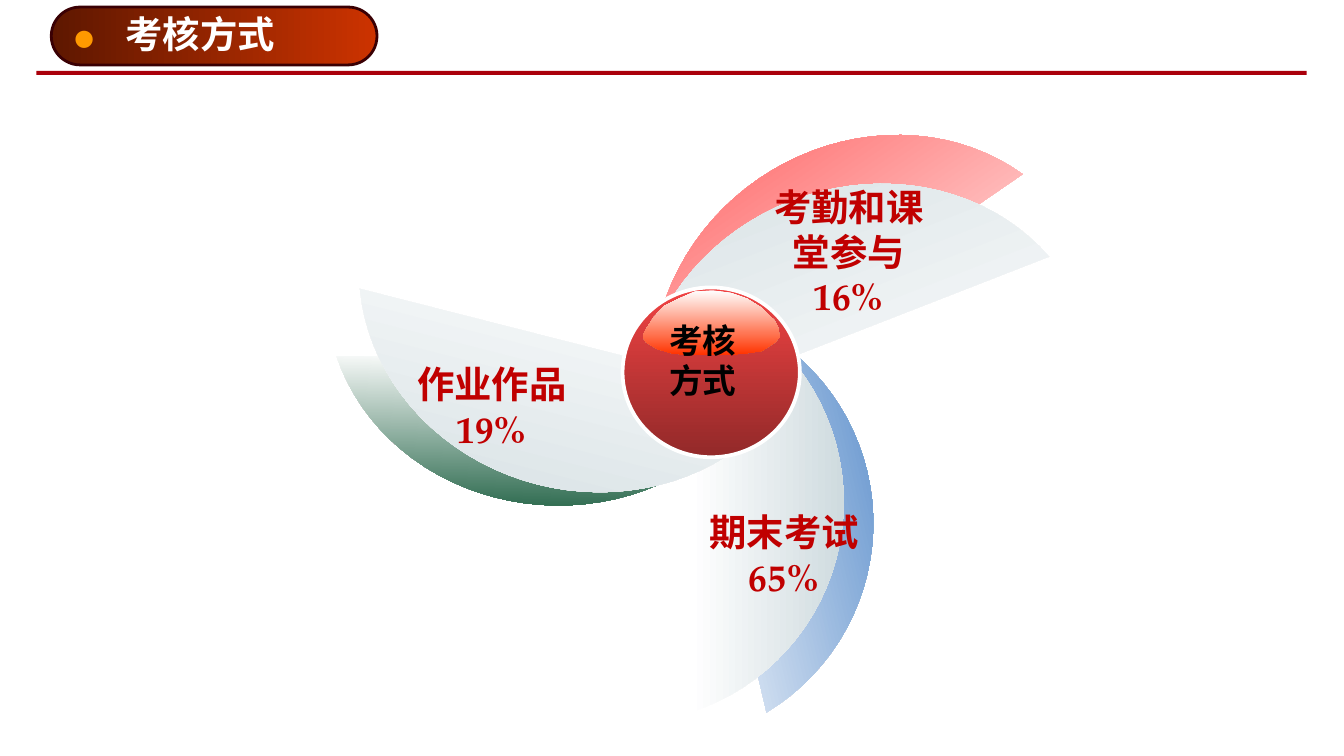
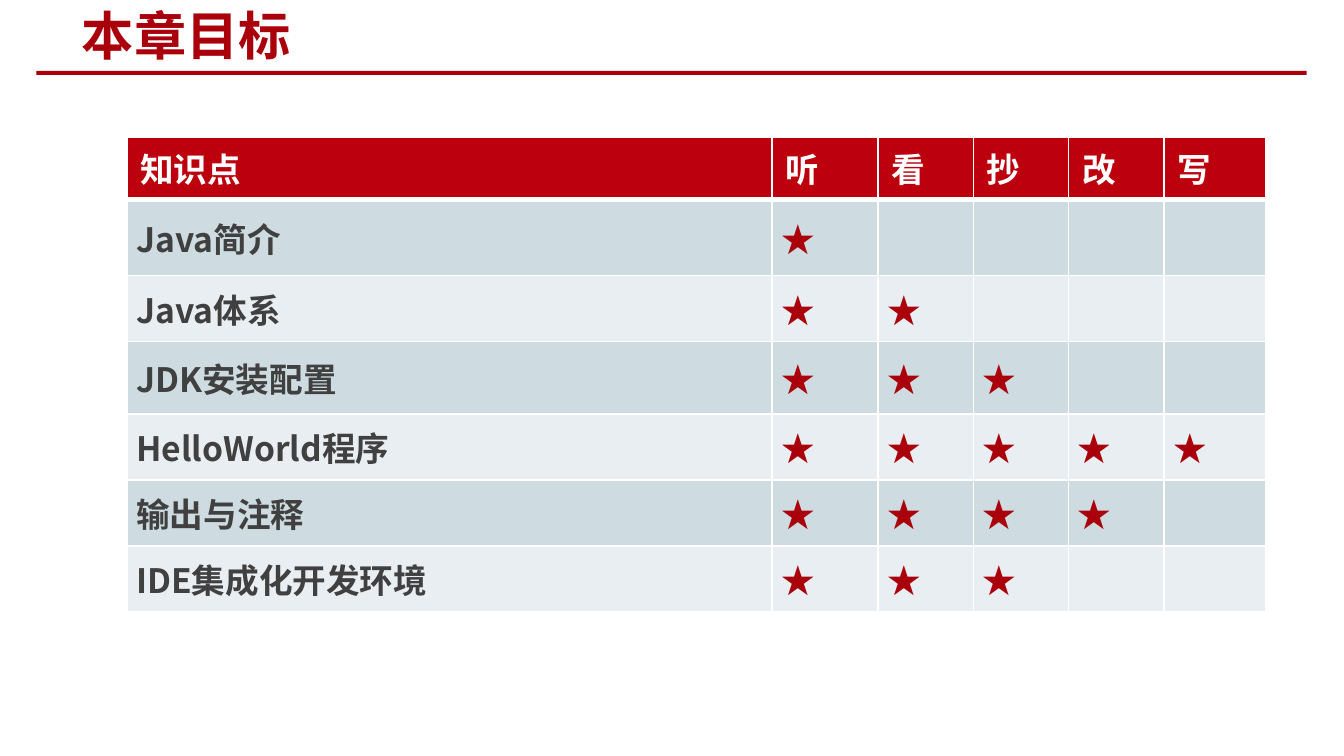
from math import cos, pi, radians, sin

from lxml.etree import SubElement
from pptx import Presentation
from pptx.dml.color import RGBColor
from pptx.enum.shapes import MSO_SHAPE
from pptx.enum.text import MSO_ANCHOR, MSO_AUTO_SIZE, PP_ALIGN
from pptx.oxml import parse_xml
from pptx.oxml.ns import nsdecls, qn
from pptx.util import Pt

RED = "AA000B"
LABEL_RED = "C00000"
HEADER_RED = "BC000D"
WHITE = "FFFFFF"
PALE = "CFDBDF"
DARK = "404040"
ROW_FILLS = ("CEDCE1", "E8EEF1")
SANS = "Noto Sans CJK SC"
SERIF = "TeX Gyre Pagella"


def color(value):
    return RGBColor.from_string(value)


def blade_outline(width, height, steps=38):
    half_angle = radians(72)
    points = []
    for step in range(steps + 1):
        angle = half_angle * (2 * step / steps - 1)
        x = (cos(angle) - cos(half_angle)) / (1 - cos(half_angle))
        y = (1 + sin(angle) / sin(half_angle)) / 2
        points.append((x * width, y * height))
    return points


class Deck:
    def __init__(self):
        self.presentation = Presentation()
        self.presentation.slide_width = Pt(720)
        self.presentation.slide_height = Pt(405)
        self.slide = None

    def add_slide(self):
        layout = self.presentation.slide_layouts[5]
        self.slide = self.presentation.slides.add_slide(layout)
        self.shape(MSO_SHAPE.RECTANGLE, (19.5, 38, 680.5, 2.2), RED)

    def format(self, paragraph, size, font_name, font_color, bold=True, align=PP_ALIGN.LEFT):
        paragraph.alignment = align
        font = paragraph.font
        font.size = Pt(size)
        font.name = font_name
        font.bold = bold
        font.color.rgb = color(font_color)
        latin = font._element.find(qn("a:latin"))
        latin.addnext(latin.makeelement(qn("a:ea"), {"typeface": SANS}))

    def title(self, text, box, size, font_name, font_color, shadow=False):
        title = self.slide.shapes.title
        title.left, title.top, title.width, title.height = map(Pt, box)
        frame = title.text_frame
        frame.text = text
        frame.word_wrap = True
        frame.auto_size = MSO_AUTO_SIZE.NONE
        frame.vertical_anchor = MSO_ANCHOR.MIDDLE
        self.format(frame.paragraphs[0], size, font_name, font_color)
        if shadow:
            properties = frame.paragraphs[0].runs[0].font._element
            properties.append(parse_xml(
                f'<a:effectLst {nsdecls("a")}><a:outerShdw dist="35921" dir="2700000">'
                '<a:srgbClr val="000000"/></a:outerShdw></a:effectLst>'))
        self.slide.shapes._spTree.append(title._element)

    def paint(self, shape, fill, angle=0, line=None):
        shape.shadow.inherit = False
        if isinstance(fill, str):
            shape.fill.solid()
            shape.fill.fore_color.rgb = color(fill)
        else:
            shape.fill.gradient()
            shape.fill.gradient_angle = angle
            for stop, value in zip(shape.fill.gradient_stops, fill):
                stop.color.rgb = color(value)
        if line:
            shape.line.color.rgb = color(line[0])
            shape.line.width = Pt(line[1])
        else:
            shape.line.fill.background()
        return shape

    def shape(self, kind, box, fill, angle=0, line=None):
        shape = self.slide.shapes.add_shape(kind, *map(Pt, box))
        return self.paint(shape, fill, angle, line)

    def outline(self, points, left, top, fill, angle=0, rotation=0):
        corners = [(Pt(left + x), Pt(top + y)) for x, y in points]
        builder = self.slide.shapes.build_freeform(*corners[0])
        builder.add_line_segments(corners[1:], close=True)
        shape = self.paint(builder.convert_to_shape(), fill, angle)
        shape.rotation = rotation

    def text(self, lines, box, size, font_name, font_color, wrap=True):
        frame = self.slide.shapes.add_textbox(*map(Pt, box)).text_frame
        frame.word_wrap = wrap
        frame.text = "\n".join(lines)
        for paragraph in frame.paragraphs:
            self.format(paragraph, size, font_name, font_color, align=PP_ALIGN.CENTER)

    def cell(self, cell, text, fill, font_color, margins, anchor, borders):
        cell.margin_left = cell.margin_right = Pt(margins[0])
        cell.margin_top = cell.margin_bottom = Pt(margins[1])
        cell.vertical_anchor = anchor
        cell.fill.solid()
        cell.fill.fore_color.rgb = color(fill)
        if text:
            cell.text = text
            self.format(cell.text_frame.paragraphs[0], 18, SANS, font_color)
        properties = cell._tc.get_or_add_tcPr()
        for index, (side, width) in enumerate(zip("LRTB", borders)):
            border = SubElement(properties, qn(f"a:ln{side}"), w=str(Pt(width)))
            solid = SubElement(border, qn("a:solidFill"))
            SubElement(solid, qn("a:srgbClr"), val=WHITE)
            properties.insert(index, border)

    def table(self, header, rows, left, top, widths, heights):
        frame = self.slide.shapes.add_table(
            len(rows) + 1, len(header), Pt(left), Pt(top), Pt(sum(widths)), Pt(sum(heights)))
        table = frame.table
        for column, width in zip(table.columns, widths):
            column.width = Pt(width)
        for row, height in zip(table.rows, heights):
            row.height = Pt(height)
        for column, text in enumerate(header):
            self.cell(table.cell(0, column), text, HEADER_RED, WHITE,
                      (7.2, 3.6), MSO_ANCHOR.TOP, (1, 1, 1, 3))
        for row, (topic, stars) in enumerate(rows, 1):
            texts = [topic] + ["★"] * stars + [""] * (len(header) - 1 - stars)
            for column, text in enumerate(texts):
                self.cell(table.cell(row, column), text, ROW_FILLS[(row - 1) % 2],
                          RED if column else DARK, (5, 0), MSO_ANCHOR.MIDDLE,
                          (1, 1, 3 if row == 1 else 1, 1))


def assessment_slide(deck):
    deck.add_slide()
    pill = deck.shape(MSO_SHAPE.ROUNDED_RECTANGLE, (27.5, 3.8, 174.5, 31),
                      ("5E1700", "CC3300"), line=("3A0004", 1.5))
    pill.adjustments[0] = 0.5
    pill.text_frame.word_wrap = False
    pill.text_frame.vertical_anchor = MSO_ANCHOR.MIDDLE
    pill.text_frame.text = "●"
    deck.format(pill.text_frame.paragraphs[0], 20, "Calibri", "FF9900", bold=False)
    deck.title("考核方式", (60, 2.5, 119.5, 31), 20, "Arial", WHITE, shadow=True)

    upright, slanted = (82, 225.5), (78, 236)
    blades = [
        (383.8, 149.8, upright, 346.8, "447EC4"),
        (258.5, 113.8, slanted, 91, "2A684C"),
        (389.5, 10, slanted, 235.5, "FF3B3B"),
        (370, 156.2, upright, 0, PALE),
        (258.5, 103.7, slanted, 104.3, PALE),
        (398.9, 26, slanted, 248.7, PALE),
    ]
    for left, top, size, rotation, shade in blades:
        deck.outline(blade_outline(*size), left, top, (WHITE, shade), rotation=rotation)

    deck.shape(MSO_SHAPE.OVAL, (333.5, 154, 95, 91), ("F14343", "922929"), 270, (WHITE, 2))
    gloss = [
        (72.5, 19.5), (73.5, 25), (71, 28), (64, 32.5), (54, 34), (44.5, 34.5), (26.5, 34.5),
        (16.5, 34), (8, 31.5), (2, 28), (0, 25), (1.5, 21.5), (6, 14.5), (11.5, 8.5),
        (19.5, 4.5), (28, 0.7), (37.5, 0), (47.5, 1.5), (56, 4.5), (64, 9.5), (70.5, 16),
    ]
    deck.outline(gloss, 344.2, 155.5, (WHITE, "FF3300"), 270)

    deck.text(["考核", "方式"], (325.5, 167.8, 102, 65.5), 18, "Calibri", "000000")
    labels = [
        (["考勤和课堂参与", "16%"], (404, 95, 101.5, 80), True),
        (["期末考试", "65%"], (372.2, 269.3, 95.8, 55.5), False),
        (["作业作品19%"], (201.6, 190, 123.8, 55.5), True),
    ]
    for lines, box, wrap in labels:
        deck.text(lines, box, 20, SERIF, LABEL_RED, wrap)


def goals_slide(deck):
    deck.add_slide()
    deck.title("本章目标", (36.7, 1.5, 381.6, 33.8), 28, SANS, RED)
    topics = [
        ("Java简介", 1),
        ("Java体系", 2),
        ("JDK安装配置", 3),
        ("HelloWorld程序", 5),
        ("输出与注释", 4),
        ("IDE集成化开发环境", 3),
    ]
    deck.table(["知识点", "听", "看", "抄", "改", "写"], topics, 68, 73.4,
               [345.5, 57, 51, 51, 51, 54.5], [32.5, 41, 35.3, 39, 35.3, 35.3, 35.3])


def main():
    deck = Deck()
    assessment_slide(deck)
    goals_slide(deck)
    deck.presentation.save("out.pptx")


if __name__ == "__main__":
    main()
